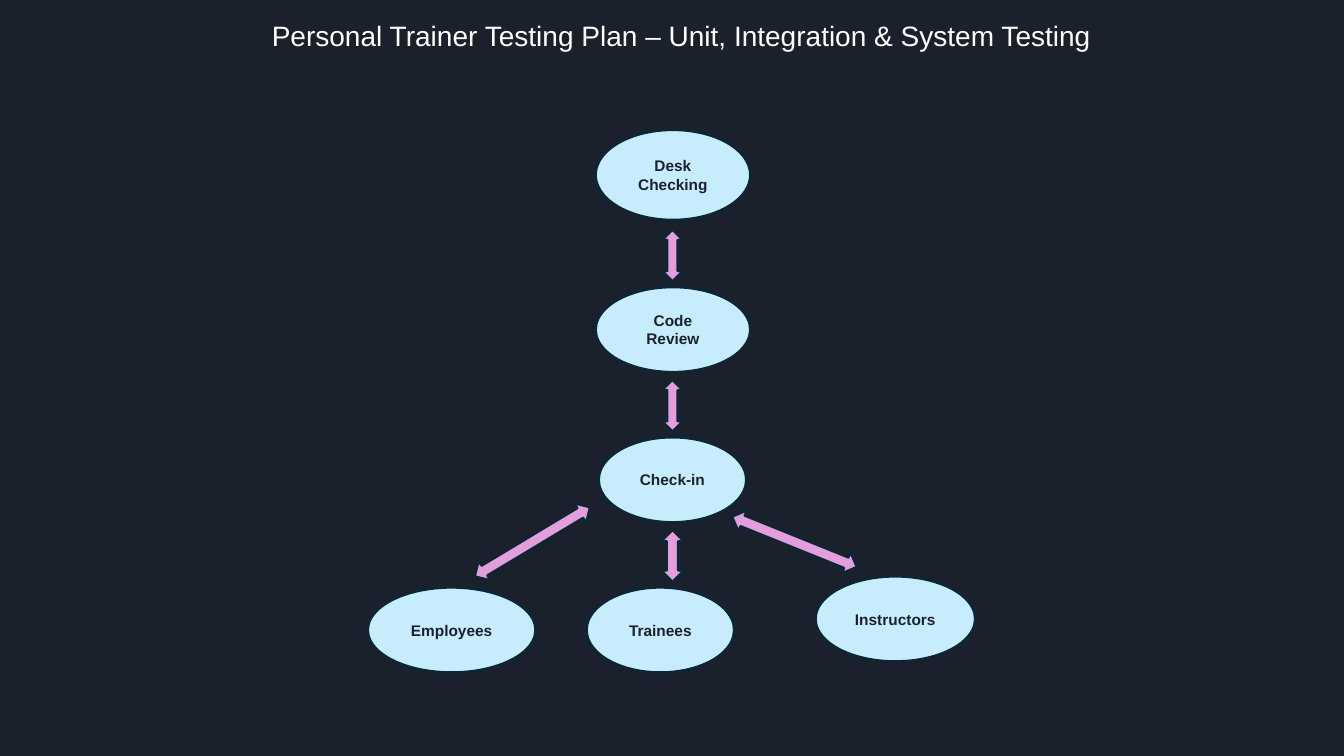
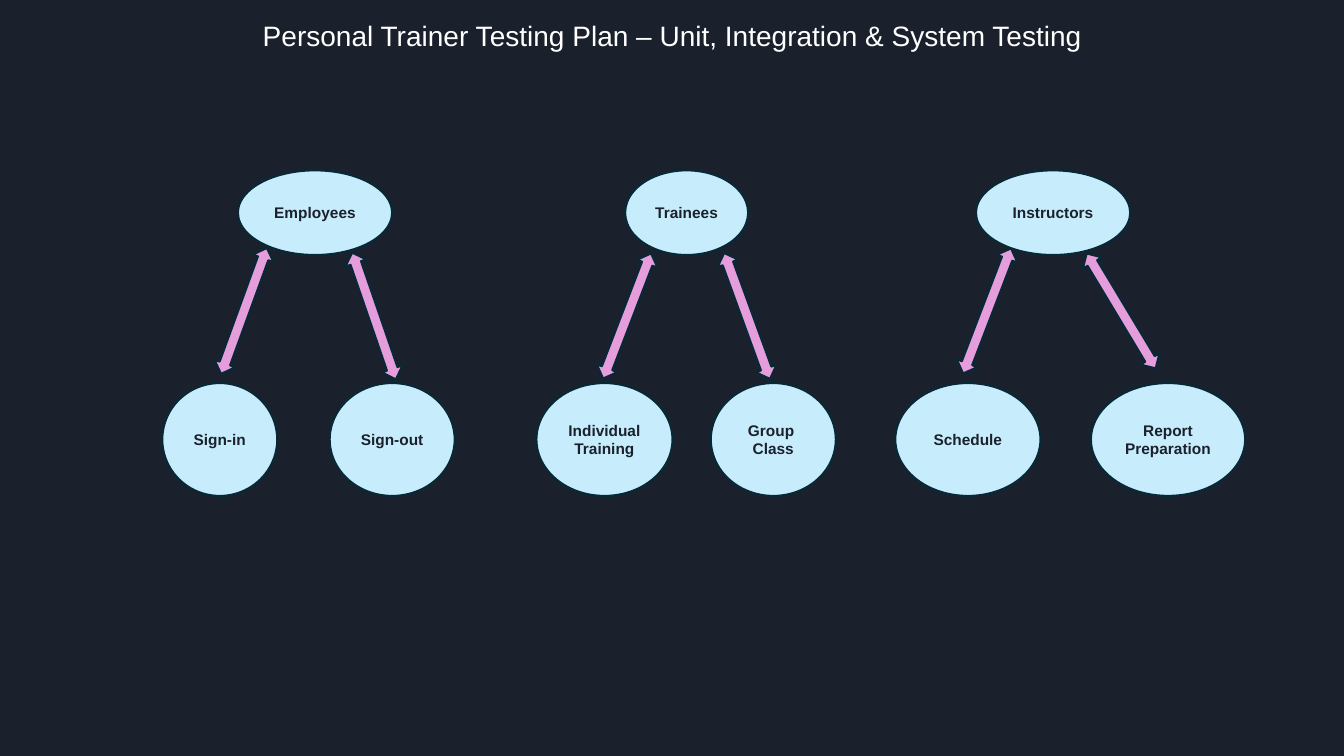
from dataclasses import dataclass

from pptx import Presentation
from pptx.dml.color import RGBColor
from pptx.enum.shapes import MSO_SHAPE
from pptx.enum.text import MSO_ANCHOR, PP_ALIGN
from pptx.shapes.autoshape import Shape
from pptx.slide import Slide
from pptx.util import Emu, Pt

OVAL = MSO_SHAPE.FLOWCHART_CONNECTOR
ARROW = MSO_SHAPE.UP_DOWN_ARROW
MIDDLE = MSO_ANCHOR.MIDDLE
CENTER = PP_ALIGN.CENTER

# Shared style; 100 px to the inch
SCALE = 9144
WIDE, HIGH = 1333, 750
FONT = "Arial"
NIGHT, EDGE, SKY, PINK, WHITE = "1B212C", "082836", "C7EDFC", "E59DDC", "FFFFFF"
TITLE = "Personal Trainer Testing Plan – Unit, Integration & System Testing"


@dataclass(frozen=True)
class Node:
    """An oval, placed by its middle x and its top."""
    text: str
    mid: int
    top: int
    wide: int
    high: int = 84


@dataclass(frozen=True)
class Link:
    """A two-way arrow, turned about its centre."""
    mid: int
    top: int
    turn: int = 0
    wide: int = 22
    high: int = 133


def px(size: int) -> Emu:
    return Emu(size * SCALE)


def color(code: str) -> RGBColor:
    return RGBColor.from_string(code)


def write(shape: Shape, text: str, *, size: int, ink: str, bold: bool = False) -> None:
    frame = shape.text_frame
    frame.word_wrap = True
    frame.vertical_anchor = MIDDLE
    frame.text = text
    for para in frame.paragraphs:
        para.alignment = CENTER
        font = para.font
        font.name, font.size, font.bold = FONT, Pt(size), bold
        for run in para.runs:
            run.font.name, run.font.size, run.font.bold = FONT, Pt(size), bold
            run.font.color.rgb = color(ink)


def block(slide: Slide, kind: MSO_SHAPE, item: Node | Link, fill: str) -> Shape:
    shape = slide.shapes.add_shape(
        kind, px(item.mid - item.wide // 2), px(item.top), px(item.wide), px(item.high))
    shape.shadow.inherit = False
    shape.fill.solid()
    shape.fill.fore_color.rgb = color(fill)
    shape.line.color.rgb = color(EDGE)
    shape.line.width = Pt(1.5)
    return shape


def page(deck: Presentation, mid: int, nodes: list[Node], links: list[Link]) -> None:
    slide = deck.slides.add_slide(deck.slide_layouts[6])
    slide.background.fill.solid()
    slide.background.fill.fore_color.rgb = color(NIGHT)

    # Title
    wide = 1150
    box = slide.shapes.add_textbox(px(mid - wide // 2), px(10), px(wide), px(50))
    write(box, TITLE, size=20, ink=WHITE)

    # Arrows lie behind the ovals
    for link in links:
        block(slide, ARROW, link, PINK).rotation = link.turn
    for node in nodes:
        write(block(slide, OVAL, node, SKY), node.text, size=11, ink=NIGHT, bold=True)


def main() -> None:
    deck = Presentation()
    deck.slide_width, deck.slide_height = px(WIDE), px(HIGH)

    # Slide 1: the main chain and its three branches
    axis, step = 667, 149
    code, gap = 285, 228
    last = code + 2 * step
    page(deck, 676, [
        Node("Desk Checking", axis, 129, 153, 89),
        Node("Code Review", axis, code, 153),
        Node("Check-in", axis, code + step, 146),
        Node("Employees", 448, last, 166),
        Node("Trainees", 655, last, 146),
        Node("Instructors", 888, 572, 158),
    ], [
        Link(axis, gap, wide=20, high=51),
        Link(axis, gap + step, wide=20, high=51),
        Link(axis, gap + 2 * step, high=51),
        Link(528, 471, 59),
        Link(788, 471, 292),
    ])

    # Slide 2: two tasks under each role
    role, task, tall = 169, 380, 112
    near, far = 242, 247
    page(deck, 667, [
        Node("Employees", 312, role, 153),
        Node("Trainees", 681, role, 122),
        Node("Instructors", 1044, role, 153),
        Node("Sign-in", 218, task, 114, tall),
        Node("Sign-out", 389, task, 124, tall),
        Node("Individual Training", 599, task, 135, tall),
        Node("Group \nClass", 767, task, 124, tall),
        Node("Schedule", 960, task, 144, tall),
        Node("Report Preparation", 1158, task, 153, tall),
    ], [
        Link(242, near, 20),
        Link(371, far, 341),
        Link(622, far, 21),
        Link(741, far, 340),
        Link(979, near, 21),
        Link(1112, near, 329),
    ])

    deck.save("out.pptx")


if __name__ == "__main__":
    main()
